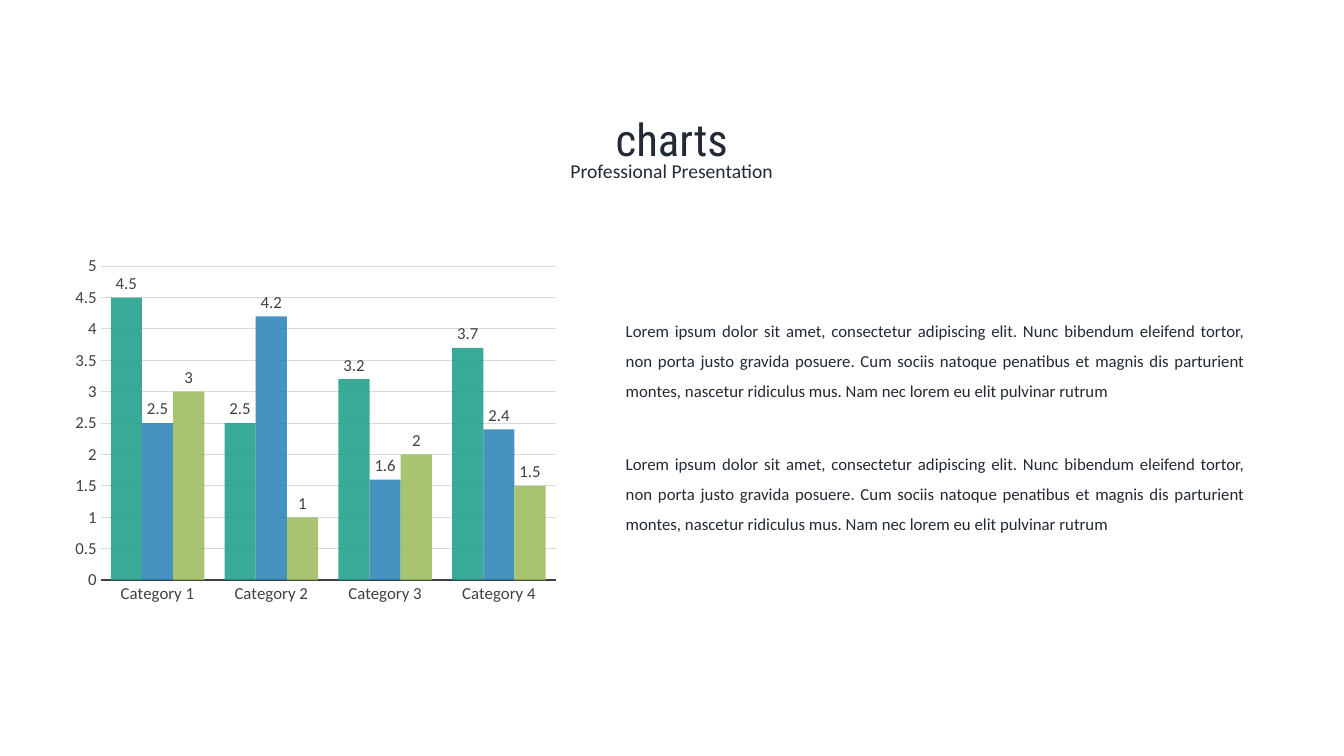
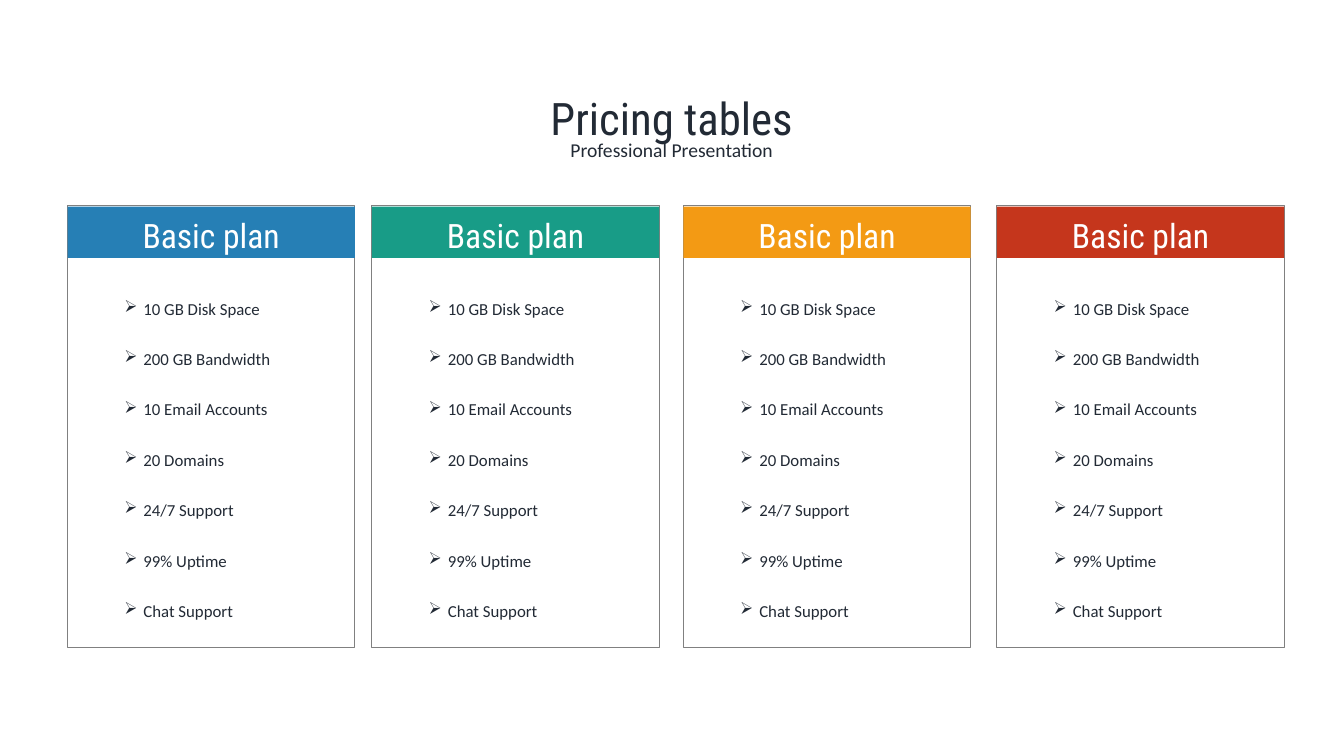
from lxml.etree import SubElement
from pptx import Presentation
from pptx.chart.data import CategoryChartData
from pptx.dml.color import RGBColor
from pptx.enum.chart import XL_CHART_TYPE, XL_LABEL_POSITION, XL_TICK_MARK
from pptx.enum.shapes import MSO_SHAPE
from pptx.enum.text import MSO_ANCHOR, MSO_AUTO_SIZE, PP_ALIGN
from pptx.oxml import parse_xml
from pptx.oxml.ns import nsdecls, qn
from pptx.util import Inches, Pt

# Shared style
INK = RGBColor(0x22, 0x2A, 0x35)
WHITE = RGBColor(0xFF, 0xFF, 0xFF)
CHART_TEXT = RGBColor(0x40, 0x40, 0x40)
GRID_LINE = RGBColor(0xD9, 0xD9, 0xD9)
BORDER = RGBColor(0x80, 0x80, 0x80)
TEAL = RGBColor(0x18, 0x9C, 0x87)
BLUE = RGBColor(0x26, 0x7F, 0xB5)
GREEN = RGBColor(0x9A, 0xBA, 0x58)
ORANGE = RGBColor(0xF3, 0x9A, 0x14)
RED = RGBColor(0xC5, 0x36, 0x1C)
BODY_FONT = "Calibri"
TITLE_FONT = "Roboto Condensed"

# The slide is a grid of square cells
COLUMNS, ROWS = 80, 45
CELL = Inches(1) / 6

# Content
SUBTITLE = "Professional Presentation"
LOREM = (
    "Lorem ipsum dolor sit amet, consectetur adipiscing elit. Nunc bibendum "
    "eleifend tortor, non porta justo gravida posuere. Cum sociis natoque "
    "penatibus et magnis dis parturient montes, nascetur ridiculus mus. "
    "Nam nec lorem eu elit pulvinar rutrum"
)
CATEGORIES = [f"Category {number}" for number in range(1, 5)]
SERIES = [
    ("Series 1", (4.5, 2.5, 3.2, 3.7), TEAL),
    ("Series 2", (2.5, 4.2, 1.6, 2.4), BLUE),
    ("Series 3", (3, 1, 2, 1.5), GREEN),
]
FEATURES = [
    "10 GB Disk Space", "200 GB Bandwidth", "10 Email Accounts", "20 Domains",
    "24/7 Support", "99% Uptime", "Chat Support",
]
PLANS = [(4.02, BLUE), (22.14, TEAL), (40.68, ORANGE), (59.34, RED)]


def cells(*lengths):
    return [round(length * CELL) for length in lengths]


class Deck:
    """Holds the style and the current slide."""

    def __init__(self):
        self.presentation = Presentation()
        self.presentation.slide_width, self.presentation.slide_height = cells(COLUMNS, ROWS)
        self.slide = None

    def new_slide(self, title, top):
        self.slide = self.presentation.slides.add_slide(self.presentation.slide_layouts[6])
        self.text((5.28, top, 69.42, 3.84), [title], 32, TITLE_FONT, PP_ALIGN.CENTER)
        self.text((5.28, top + 2.82, 69.42, 2.04), [SUBTITLE], 14, alignment=PP_ALIGN.CENTER)

    def styled_run(self, paragraph, text, size, font=BODY_FONT, color=INK):
        run = paragraph.add_run()
        run.text = text
        run.font.size = Pt(size)
        run.font.name = font
        run.font.color.rgb = color

    def text(self, box, lines, size=12, font=BODY_FONT, alignment=PP_ALIGN.LEFT,
             spacing=1.0, bullet=None):
        frame = self.slide.shapes.add_textbox(*cells(*box)).text_frame
        frame.word_wrap = True
        frame.auto_size = MSO_AUTO_SIZE.SHAPE_TO_FIT_TEXT
        for index, line in enumerate(lines):
            paragraph = frame.add_paragraph() if index else frame.paragraphs[0]
            if bullet:
                self.bullet(paragraph, bullet)
            paragraph.alignment = alignment
            paragraph.line_spacing = spacing
            self.styled_run(paragraph, line, size, font)

    def bullet(self, paragraph, character):
        properties = paragraph._p.get_or_add_pPr()
        indent = Inches(0.19)
        properties.set("marL", str(indent))
        properties.set("indent", str(-indent))
        SubElement(properties, qn("a:buChar")).set("char", character)

    def rectangle(self, box, fill=None, line=None):
        shape = self.slide.shapes.add_shape(MSO_SHAPE.RECTANGLE, *cells(*box))
        shape.shadow.inherit = False
        if fill is None:
            shape.fill.background()
        else:
            shape.fill.solid()
            shape.fill.fore_color.rgb = fill
        if line is None:
            shape.line.fill.background()
        else:
            shape.line.color.rgb = line
            shape.line.width = Pt(0)
        return shape

    def plan(self, left, color):
        width = 17.1
        self.rectangle((left, 12.24, width, 26.28), line=BORDER)
        self.text((left + 2.79, 15.66, 11.58, 21.84), FEATURES, spacing=2.5, bullet="➢")
        frame = self.rectangle((left, 12.3, width, 3.06), fill=color).text_frame
        frame.vertical_anchor = MSO_ANCHOR.MIDDLE
        frame.margin_top, frame.margin_bottom = Inches(0.05), 0
        paragraph = frame.paragraphs[0]
        paragraph.alignment = PP_ALIGN.CENTER
        self.styled_run(paragraph, "Basic plan", 24, TITLE_FONT, WHITE)

    def style_chart_font(self, font):
        font.size = Pt(12)
        font.name = BODY_FONT
        font.color.rgb = CHART_TEXT

    def column_chart(self, box, categories, series_list, plot_area):
        data = CategoryChartData()
        data.categories = categories
        for name, values, _ in series_list:
            data.add_series(name, values)
        chart = self.slide.shapes.add_chart(
            XL_CHART_TYPE.COLUMN_CLUSTERED, *cells(*box), data).chart
        chart.has_title = chart.has_legend = False
        self.style_chart_font(chart.font)
        plot = chart.plots[0]
        plot.gap_width, plot.overlap = 65, 0
        plot.vary_by_categories = False

        # Series with translucent fills and value labels
        for series, (_, _, color) in zip(plot.series, series_list):
            series.format.fill.solid()
            series.format.fill.fore_color.rgb = color
            for color_element in series.format.fill._xPr.iter(qn("a:srgbClr")):
                SubElement(color_element, qn("a:alpha")).set("val", "85000")
            labels = series.data_labels
            labels.show_value = True
            labels.position = XL_LABEL_POSITION.OUTSIDE_END
            self.style_chart_font(labels.font)

        # Axes
        for axis in (chart.category_axis, chart.value_axis):
            axis.major_tick_mark = axis.minor_tick_mark = XL_TICK_MARK.NONE
            self.style_chart_font(axis.tick_labels.font)
        chart.category_axis.format.line.color.rgb = CHART_TEXT
        chart.category_axis.format.line.width = Pt(1.5)
        value_axis = chart.value_axis
        value_axis.minimum_scale, value_axis.maximum_scale = 0, 5
        value_axis.major_unit = 0.5
        value_axis.format.line.fill.background()
        value_axis.major_gridlines.format.line.color.rgb = GRID_LINE
        value_axis.major_gridlines.format.line.width = Pt(0.75)
        self.place_plot(chart, plot_area)

    def place_plot(self, chart, shares):
        area = chart._chartSpace.find(".//" + qn("c:plotArea"))
        for layout in area.findall(qn("c:layout")):
            area.remove(layout)
        settings = [("layoutTarget", "inner"), ("xMode", "edge"), ("yMode", "edge")]
        settings += zip("xywh", shares)
        items = "".join(f'<c:{tag} val="{value}"/>' for tag, value in settings)
        area.insert(0, parse_xml(
            f"<c:layout {nsdecls('c')}><c:manualLayout>{items}</c:manualLayout></c:layout>"))


def main():
    deck = Deck()

    # Chart beside two paragraphs
    deck.new_slide("charts", 6.36)
    deck.column_chart((4.08, 14.7, 34.74, 22.44), CATEGORIES, SERIES,
                      (0.055, 0.051, 0.78, 0.833))
    for row in range(2):
        deck.text((36.66, 18.18 + row * 7.92, 38.04, 6.06), [LOREM],
                  alignment=PP_ALIGN.JUSTIFY, spacing=1.5)

    # Four price plans
    deck.new_slide("Pricing tables", 5.1)
    for left, color in PLANS:
        deck.plan(left, color)

    deck.presentation.save("out.pptx")


if __name__ == "__main__":
    main()
